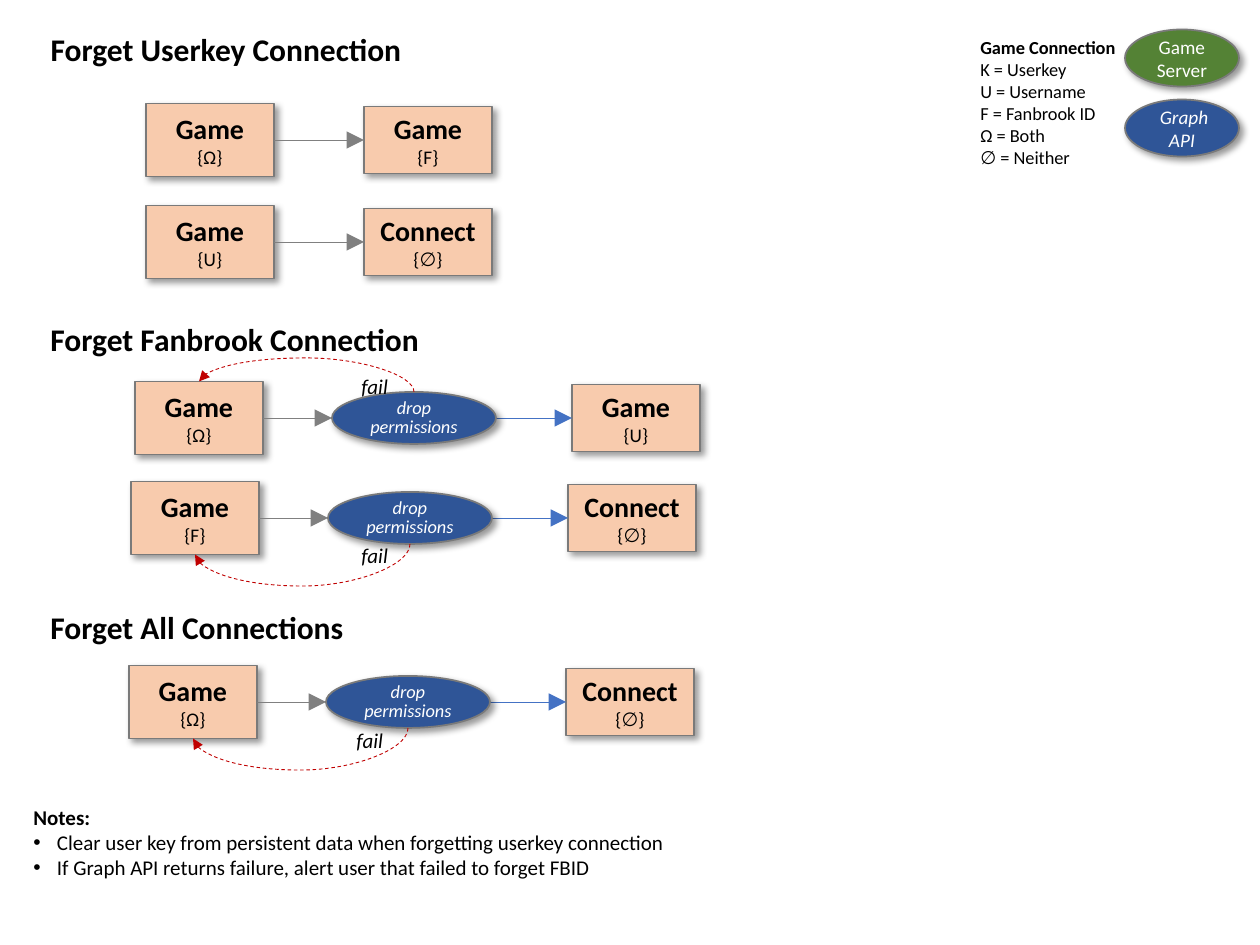
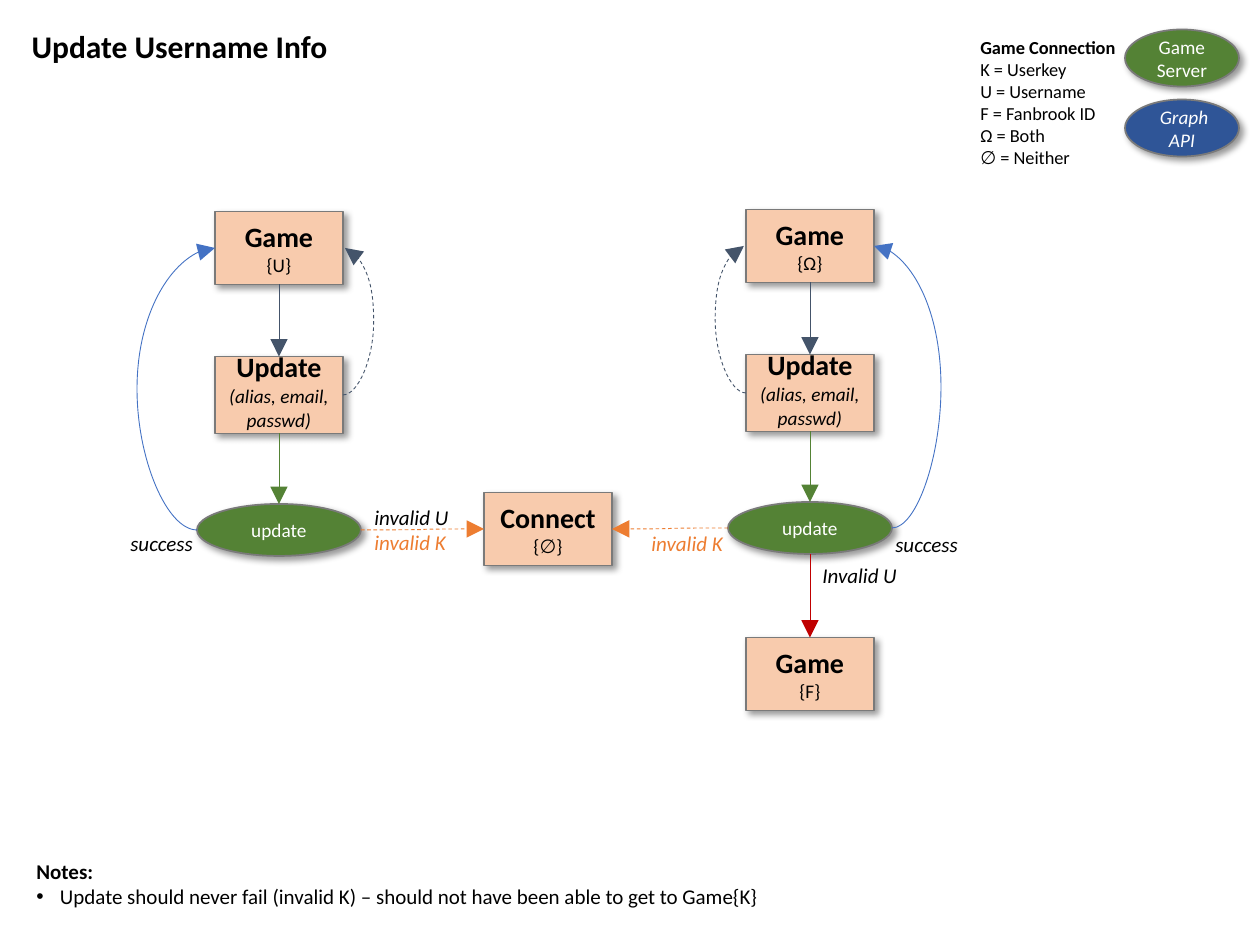
from lxml import etree
from pptx import Presentation, util as u
from pptx.dml.color import RGBColor
from pptx.enum import dml, shapes, text
from pptx.oxml.ns import qn

SCALE = 914400 / 126
FONT = "Calibri"
BLACK, WHITE, EDGE, PEACH = "000000", "FFFFFF", "7A7A7A", "F8CBAD"
GREEN, NAVY = "548235", "2F5597"
GRAY, BLUE, SLATE, ORANGE, RED = "808080", "4472C4", "44546A", "ED7D31", "C00000"
BOX_W, BOX_H, SHORT_H, UPDATE_H = 128, 73, 67, 77
OVAL_W, OVAL_H = 164, 52
TOP, LEFT, BOTTOM, RIGHT = range(4)


def px(n):
    return u.Emu(round(n * SCALE))


def rgb(hex_color):
    return RGBColor.from_string(hex_color)


def child(parent, tag, **attrs):
    el = etree.SubElement(parent, qn(tag))
    for key, value in attrs.items():
        el.set(key, str(value))
    return el


def write(tf, txt, size=12, color=BLACK, bold=False, italic=False,
          align=text.PP_ALIGN.LEFT, spacing=None, bullet=False):
    """Add one paragraph, filling the first one while the frame is empty."""
    p = tf.add_paragraph() if tf.text else tf.paragraphs[0]
    p.alignment = align
    if spacing:
        p.line_spacing = u.Pt(spacing)
    if bullet:
        pPr = p._p.get_or_add_pPr()
        pPr.set("marL", "171450")
        pPr.set("indent", "-171450")
        child(pPr, "a:buFont", typeface="Arial")
        child(pPr, "a:buChar", char="•")
    r = p.add_run()
    r.text = txt
    f = r.font
    f.name, f.size, f.bold, f.italic = FONT, u.Pt(size), bold, italic
    f.color.rgb = rgb(color)


def fit_text(tf):
    tf.word_wrap = False
    tf.auto_size = text.MSO_AUTO_SIZE.SHAPE_TO_FIT_TEXT
    tf.vertical_anchor = text.MSO_ANCHOR.TOP


def label(s, x, y, w, h, *lines, **fmt):
    """Unwrapped text box; a line is a string or (string, format dict)."""
    tf = s.shapes.add_textbox(px(x), px(y), px(w), px(h)).text_frame
    fit_text(tf)
    for line in lines:
        txt, own = (line, {}) if isinstance(line, str) else line
        write(tf, txt, **{**fmt, **own})


def heading(s, y, w, txt):
    label(s, 38, y, w, 50, txt, size=18, bold=True)


def notes(s, x, y, w, h, *points):
    label(s, x, y, w, h, ("Notes:", {"bold": True}),
          *[(point, {"bullet": True}) for point in points])


def node(s, kind, x, mid, w, h, fill):
    """Outlined shape with a soft shadow, centred vertically on mid."""
    sp = s.shapes.add_shape(kind, px(x), px(mid - h / 2), px(w), px(h))
    sp.shadow.inherit = False
    sp.fill.solid()
    sp.fill.fore_color.rgb = rgb(fill)
    sp.line.color.rgb = rgb(EDGE)
    sp.line.width = u.Pt(1)
    effects = sp._element.spPr.find(qn("a:effectLst"))
    shadow = child(effects, "a:outerShdw", blurRad=u.Pt(4), dist=u.Pt(3),
                   dir=45 * 60000, algn="tl", rotWithShape=0)
    child(child(shadow, "a:srgbClr", val=BLACK), "a:alpha", val=40000)
    sp.text_frame.word_wrap = True
    sp.text_frame.vertical_anchor = text.MSO_ANCHOR.MIDDLE
    return sp


def box(s, x, mid, name, detail, h=BOX_H, spacing=None, italic=False):
    sp = node(s, shapes.MSO_SHAPE.RECTANGLE, x, mid, BOX_W, h, PEACH)
    fmt = {"align": text.PP_ALIGN.CENTER, "spacing": spacing}
    write(sp.text_frame, name, size=16, bold=True, **fmt)
    write(sp.text_frame, detail, size=11, italic=italic, **fmt)
    return sp


def oval(s, x, mid, *lines, w=OVAL_W, h=OVAL_H, fill=NAVY, **fmt):
    sp = node(s, shapes.MSO_SHAPE.OVAL, x, mid, w, h, fill)
    for line in lines:
        write(sp.text_frame, line, color=WHITE,
              align=text.PP_ALIGN.CENTER, **fmt)
    return sp


def style_arrow(c, color, dashed=False, head="lg"):
    c.line.color.rgb = rgb(color)
    c.line.width = u.Pt(0.5)
    if dashed:
        c.line.dash_style = dml.MSO_LINE.DASH
    child(c.line._get_or_add_ln(), "a:tailEnd", type="triangle", w=head, len=head)
    child(c._element.spPr, "a:effectLst")


def arrow(s, begin, end, color, source=None, target=None):
    """Straight arrow; source and target are (shape, site) to join."""
    c = s.shapes.add_connector(shapes.MSO_CONNECTOR.STRAIGHT,
                               *map(px, (*begin, *end)))
    if source:
        c.begin_connect(*source)
    if target:
        c.end_connect(*target)
    style_arrow(c, color)


def curve(s, begin, end, bend, color, vertical=False, **style):
    """Curved arrow that swings out to x = bend, or to y = bend if vertical."""
    (x1, y1), (x2, y2) = begin, end
    turn = 0
    ratio = (bend - x1) / (x2 - x1)
    if vertical:
        ratio = (bend - y1) / (y2 - y1)
        side = 1 if y2 > y1 else -1
        turn = 90 if side == 1 else 270
        cx, cy = (x1 + x2) / 2, (y1 + y2) / 2
        x1, y1, x2, y2 = (cx + side * (y1 - cy), cy - side * (x1 - cx),
                          cx + side * (y2 - cy), cy - side * (x2 - cx))
    c = s.shapes.add_connector(shapes.MSO_CONNECTOR.CURVE,
                               *map(px, (x1, y1, x2, y2)))
    spPr = c._element.spPr
    if turn:
        spPr.find(qn("a:xfrm")).set("rot", str(turn * 60000))
    guides = spPr.find(qn("a:prstGeom")).find(qn("a:avLst"))
    child(guides, "a:gd", name="adj1", fmla=f"val {round(ratio * 100000)}")
    style_arrow(c, color, **style)


def legend(s):
    label(s, 968, 30, 163, 146, ("Game Connection", {"bold": True}),
          "K = Userkey", "U = Username", "F = Fanbrook ID", "Ω = Both",
          "∅ = Neither", size=10.5)
    oval(s, 1125, 58, "Game", "Server", w=114, h=57, fill=GREEN, size=11)
    oval(s, 1125, 128, " Graph", "API", w=114, h=57, size=11, italic=True)


def new_slide(prs, x, y, w, title):
    s = prs.slides.add_slide(prs.slide_layouts[5])
    sp = s.shapes.title
    sp.left, sp.top, sp.width, sp.height = map(px, (x, y, w, 50))
    fit_text(sp.text_frame)
    write(sp.text_frame, title, size=18, bold=True)
    legend(s)
    return s


def direct_row(s, mid, state, name, result):
    start = box(s, 146, mid, "Game", state)
    goal = box(s, 364, mid, name, result, h=SHORT_H)
    arrow(s, (274, mid), (364, mid), GRAY, (start, RIGHT), (goal, LEFT))


def drop_row(s, x, mid, state, name, result, fail_at, side, swing):
    """Game, permission drop, result; failure loops back above (-1) or below (1)."""
    start = box(s, x, mid, "Game", state)
    goal = box(s, x + 437, mid, name, result, h=SHORT_H)
    drop_x = x + 197
    arrow(s, (x + BOX_W, mid), (drop_x, mid), GRAY, source=(start, RIGHT))
    arrow(s, (drop_x + OVAL_W, mid), (x + 437, mid), BLUE, target=(goal, LEFT))
    oval(s, drop_x, mid, "drop permissions", size=10.5, italic=True, spacing=11)
    curve(s, (drop_x + OVAL_W / 2, mid + side * OVAL_H / 2),
          (x + BOX_W / 2, mid + side * BOX_H / 2), mid + side * swing, RED,
          vertical=True, dashed=True, head="med")
    label(s, *fail_at, 52, 38, "fail", italic=True)


def update_column(s, cx, mid, state, side, reach):
    """Game, update form, server update; success loops back on the given side."""
    form_mid, oval_mid = mid + 147, mid + 282
    oval(s, cx - OVAL_W / 2, oval_mid, "update", fill=GREEN, size=11)
    form = box(s, cx - BOX_W / 2, form_mid, "Update", "(alias, email, passwd)",
               h=UPDATE_H, spacing=14, italic=True)
    game = box(s, cx - BOX_W / 2, mid, "Game", state)
    arrow(s, (cx, mid + BOX_H / 2), (cx, form_mid - UPDATE_H / 2), SLATE,
          (game, BOTTOM), (form, TOP))
    arrow(s, (cx, form_mid + UPDATE_H / 2), (cx, oval_mid - OVAL_H / 2), GREEN,
          source=(form, BOTTOM))
    curve(s, (cx - side * 64, form_mid), (cx - side * 66, mid),
          cx - side * 95, SLATE, dashed=True)
    curve(s, (cx + side * 82, oval_mid), (cx + side * 64, mid),
          cx + side * reach, BLUE)


def forget_slide(prs):
    s = new_slide(prs, 38, 24, 379, "Forget Userkey Connection")
    direct_row(s, 140, "{Ω}", "Game", "{F}")
    direct_row(s, 242, "{U}", "Connect", "{∅}")
    heading(s, 314, 398, "Forget Fanbrook Connection")
    drop_row(s, 135, 418, "{Ω}", "Game", "{U}", (349, 367), -1, 60)
    drop_row(s, 131, 518, "{F}", "Connect", "{∅}", (349, 536), 1, 68)
    heading(s, 602, 320, "Forget All Connections")
    drop_row(s, 129, 702, "{Ω}", "Connect", "{∅}", (344, 721), 1, 68)
    notes(s, 21, 798, 663, 89,
          "Clear user key from persistent data when forgetting userkey connection",
          "If Graph API returns failure, alert user that failed to forget FBID")


def update_slide(prs):
    s = new_slide(prs, 19, 21, 324, "Update Username Info")
    update_column(s, 279, 248, "{U}", -1, 142)
    update_column(s, 810, 246, "{Ω}", 1, 131)
    box(s, 484, 529, "Connect", "{∅}")
    curve(s, (361, 530), (484, 529), 423, ORANGE, dashed=True)
    curve(s, (728, 528), (612, 529), 670, ORANGE, dashed=True)
    game = box(s, 746, 674, "Game", "{F}")
    arrow(s, (810, 554), (810, 638), RED, target=(game, TOP))
    label(s, 118, 524, 88, 38, "success", italic=True)
    label(s, 883, 525, 88, 38, "success", italic=True)
    label(s, 362, 498, 101, 63, "invalid U", ("invalid K", {"color": ORANGE}),
          italic=True)
    label(s, 639, 524, 97, 38, "invalid K", color=ORANGE, italic=True)
    label(s, 810, 556, 101, 38, "Invalid U", italic=True)
    notes(s, 24, 852, 755, 63, "Update should never fail (invalid K) – "
          "should not have been able to get to Game{K}")


def main():
    prs = Presentation()
    prs.slide_width, prs.slide_height = px(1260), px(945)
    forget_slide(prs)
    update_slide(prs)
    prs.save("out.pptx")


if __name__ == "__main__":
    main()
